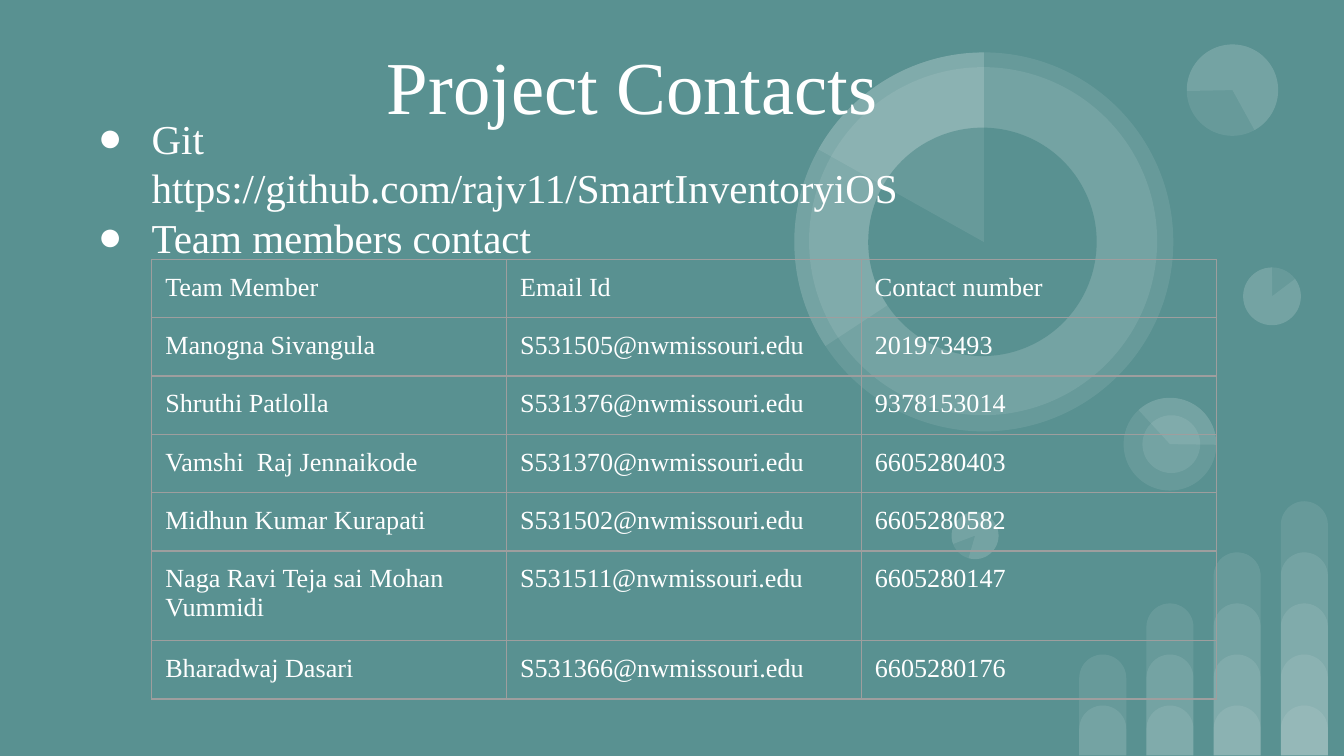
from dataclasses import dataclass

from lxml import etree
from pptx import Presentation
from pptx.dml.color import RGBColor
from pptx.enum.shapes import MSO_SHAPE
from pptx.enum.text import MSO_ANCHOR, PP_ALIGN
from pptx.oxml.ns import qn
from pptx.util import Inches, Pt

BAR = MSO_SHAPE.ROUND_2_SAME_RECTANGLE
ELLIPSE = MSO_SHAPE.OVAL
PIE = MSO_SHAPE.PIE


@dataclass(frozen=True)
class Theme:
    background: str = "599191"
    foreground: str = "FFFFFF"
    border: str = "9E9E9E"
    font: str = "Times New Roman"
    title_size: int = 40
    body_size: int = 22
    table_size: int = 14
    opacity: int = 9  # percent
    inset: float = 0.1


THEME = Theme()

CONTACTS = [
    ("Team Member", "Email Id", "Contact number"),
    ("Manogna Sivangula", "S531505@nwmissouri.edu", "201973493"),
    ("Shruthi Patlolla", "S531376@nwmissouri.edu", "9378153014"),
    ("Vamshi  Raj Jennaikode", "S531370@nwmissouri.edu", "6605280403"),
    ("Midhun Kumar Kurapati", "S531502@nwmissouri.edu", "6605280582"),
    ("Naga Ravi Teja sai Mohan Vummidi", "S531511@nwmissouri.edu", "6605280147"),
    ("Bharadwaj Dasari", "S531366@nwmissouri.edu", "6605280176"),
]

# Text and whether the line carries a bullet
BODY_LINES = [
    ("Git", True),
    ("https://github.com/rajv11/SmartInventoryiOS", False),
    ("Team members contact", True),
]

# Kind, left, top, diameter, rotation, pie start and end in degrees
UPPER_DIALS = [
    (ELLIPSE, 9.25, 1.99, 0.43, 0, None),
    (ELLIPSE, 7.08, 3.81, 0.35, 196.2, None),
    (ELLIPSE, 8.36, 2.96, 0.69, 90, None),
    (PIE, 8.36, 2.96, 0.69, 90, (137.41, 270.77)),
    (ELLIPSE, 8.5, 3.09, 0.43, 90, None),
    (PIE, 9.25, 1.99, 0.43, 0, (322.95, 270)),
    (ELLIPSE, 8.83, 0.33, 0.68, 215.9, None),
    (PIE, 8.83, 0.33, 0.68, 215.9, (322.95, 205.23)),
    (ELLIPSE, 5.91, 0.39, 2.82, 0, None),
    (ELLIPSE, 6.02, 0.5, 2.59, 34.1, None),
    (PIE, 5.91, 0.39, 2.82, 0, (146.69, 270)),
]
RING_HOLE = (ELLIPSE, 6.46, 0.95, 1.7, 34.1, None)
FRONT_DIALS = [
    (PIE, 5.91, 0.39, 2.82, 0, (209.24, 270)),
    (PIE, 7.08, 3.81, 0.35, 196.2, (322.95, 270)),
]


def color(value):
    return RGBColor.from_string(value)


def style_font(font, size):
    font.name = THEME.font
    font.size = Pt(size)
    font.color.rgb = color(THEME.foreground)


def set_insets(target):
    """Give a text frame or table cell the same margin on every side."""
    target.margin_left = target.margin_right = Inches(THEME.inset)
    target.margin_top = target.margin_bottom = Inches(THEME.inset)


def place(shape, left, top, width, height):
    shape.left, shape.top = Inches(left), Inches(top)
    shape.width, shape.height = Inches(width), Inches(height)


def add_plain_shape(slide, kind, left, top, width, height, fill):
    shape = slide.shapes.add_shape(
        kind, Inches(left), Inches(top), Inches(width), Inches(height))
    shape.shadow.inherit = False
    shape.line.fill.background()
    shape.fill.solid()
    shape.fill.fore_color.rgb = color(fill)
    return shape


def make_translucent(shape):
    fill_color = shape._element.spPr.find(qn("a:solidFill"))[0]
    etree.SubElement(fill_color, qn("a:alpha"), val=str(THEME.opacity * 1000))


def add_bars(slide):
    """Overlay translucent bars so each column grows one step taller."""
    step, base_height, bottom = 0.38, 0.37, 5.62
    for column in range(4):
        for level in range(column + 2):
            height = base_height + step * level
            bar = add_plain_shape(slide, BAR, 8.03 + 0.5 * column, bottom - height,
                                  0.35, height, THEME.foreground)
            bar.adjustments[0] = 0.5
            make_translucent(bar)


def add_dial(slide, dial, fill=THEME.foreground):
    kind, left, top, diameter, rotation, angles = dial
    shape = add_plain_shape(slide, kind, left, top, diameter, diameter, fill)
    shape.rotation = rotation
    for index, angle in enumerate(angles or ()):
        shape.adjustments[index] = angle * 0.6  # 60000 units a degree, over 100000
    return shape


def add_dials(slide):
    for dial in UPPER_DIALS:
        make_translucent(add_dial(slide, dial))
    add_dial(slide, RING_HOLE, THEME.background)
    for dial in FRONT_DIALS:
        make_translucent(add_dial(slide, dial))


def add_title(slide, text):
    title = slide.shapes.title
    slide.shapes._spTree.append(title._element)  # in front of the decoration
    place(title, 0.92, 0.2, 7.57, 0.86)
    frame = title.text_frame
    frame.text = text
    frame.word_wrap = True
    frame.vertical_anchor = MSO_ANCHOR.BOTTOM
    set_insets(frame)
    paragraph = frame.paragraphs[0]
    paragraph.alignment = PP_ALIGN.CENTER
    style_font(paragraph.runs[0].font, THEME.title_size)


def add_bullet(properties):
    bullet_color = etree.SubElement(properties, qn("a:buClr"))
    etree.SubElement(bullet_color, qn("a:srgbClr"), val=THEME.foreground)
    etree.SubElement(properties, qn("a:buFont"), typeface=THEME.font)
    etree.SubElement(properties, qn("a:buChar"), char="●")


def add_body(slide):
    box = slide.shapes.add_textbox(
        Inches(0.53), Inches(0.74), Inches(9.13), Inches(3.99))
    frame = box.text_frame
    frame.word_wrap = True
    set_insets(frame)
    frame.text = "\n".join(text for text, _ in BODY_LINES)
    for paragraph, (_, bulleted) in zip(frame.paragraphs, BODY_LINES):
        properties = paragraph._p.get_or_add_pPr()
        properties.set("marL", str(Inches(0.5)))
        properties.set("indent", str(Inches(-0.4 if bulleted else 0)))
        if bulleted:
            add_bullet(properties)
        paragraph.line_spacing = Pt(26.5)
        style_font(paragraph.runs[0].font, THEME.body_size)


def add_borders(cell):
    properties = cell._tc.get_or_add_tcPr()
    for side in ("lnL", "lnR", "lnT", "lnB"):
        line = etree.SubElement(properties, qn(f"a:{side}"), w=str(Pt(0.75)))
        fill = etree.SubElement(line, qn("a:solidFill"))
        etree.SubElement(fill, qn("a:srgbClr"), val=THEME.border)


def add_contacts_table(slide):
    frame = slide.shapes.add_table(
        len(CONTACTS), len(CONTACTS[0]),
        Inches(1.13), Inches(1.93), Inches(7.92), Inches(3.27))
    table = frame.table
    table.first_row = table.horz_banding = False
    for row, values in zip(table.rows, CONTACTS):
        row.height = Inches(0.42)
        for cell, value in zip(row.cells, values):
            cell.text = value
            set_insets(cell)
            add_borders(cell)
            cell.fill.background()
            style_font(cell.text_frame.paragraphs[0].runs[0].font, THEME.table_size)
    frame.height = Inches(3.27)  # leaves room for the name that wraps


def main():
    presentation = Presentation()
    presentation.slide_width = Inches(10)
    presentation.slide_height = Inches(10) * 9 // 16
    slide = presentation.slides.add_slide(presentation.slide_layouts[5])
    slide.background.fill.solid()
    slide.background.fill.fore_color.rgb = color(THEME.background)
    add_bars(slide)
    add_dials(slide)
    add_title(slide, "Project Contacts")
    add_body(slide)
    add_contacts_table(slide)
    presentation.save("out.pptx")


if __name__ == "__main__":
    main()
